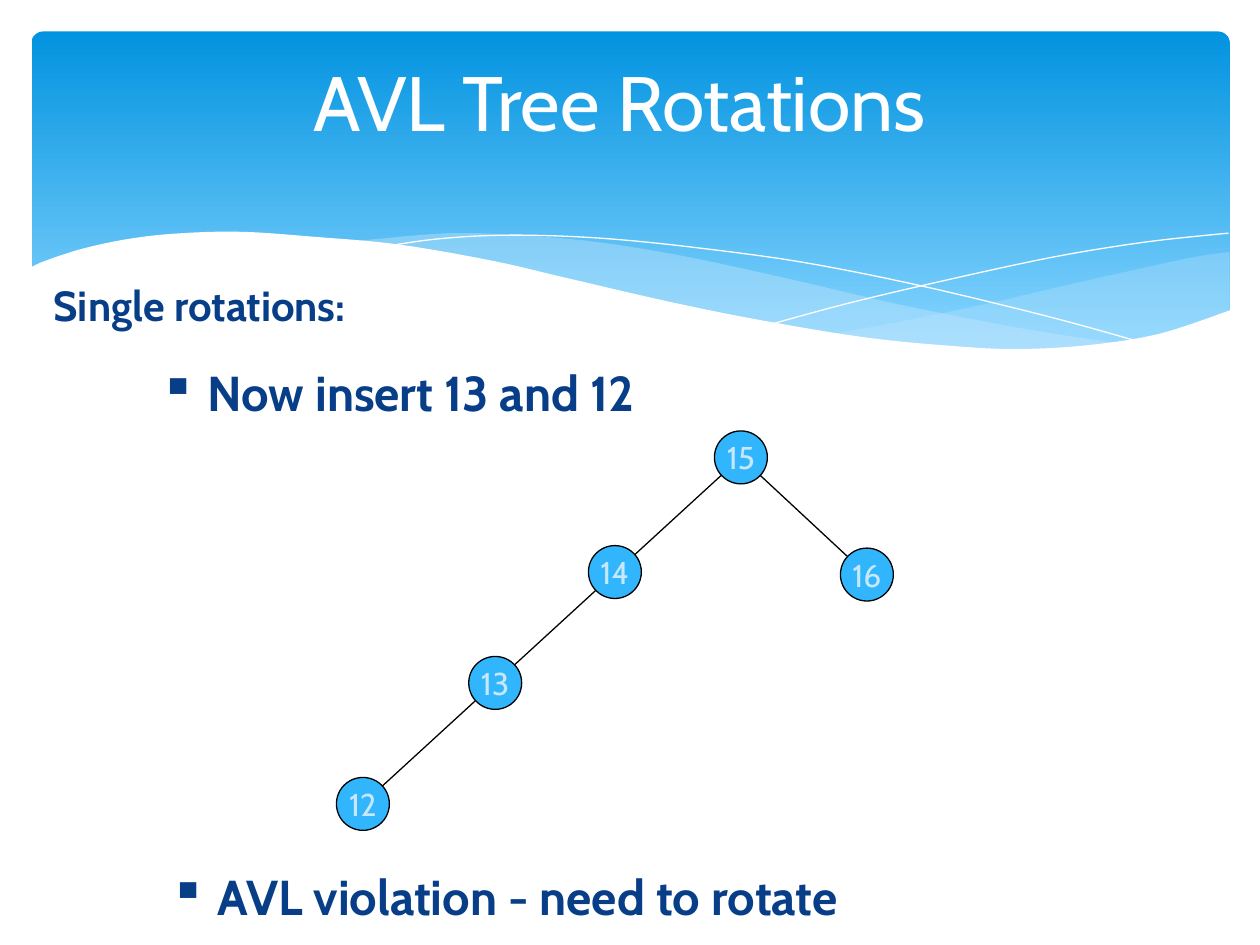
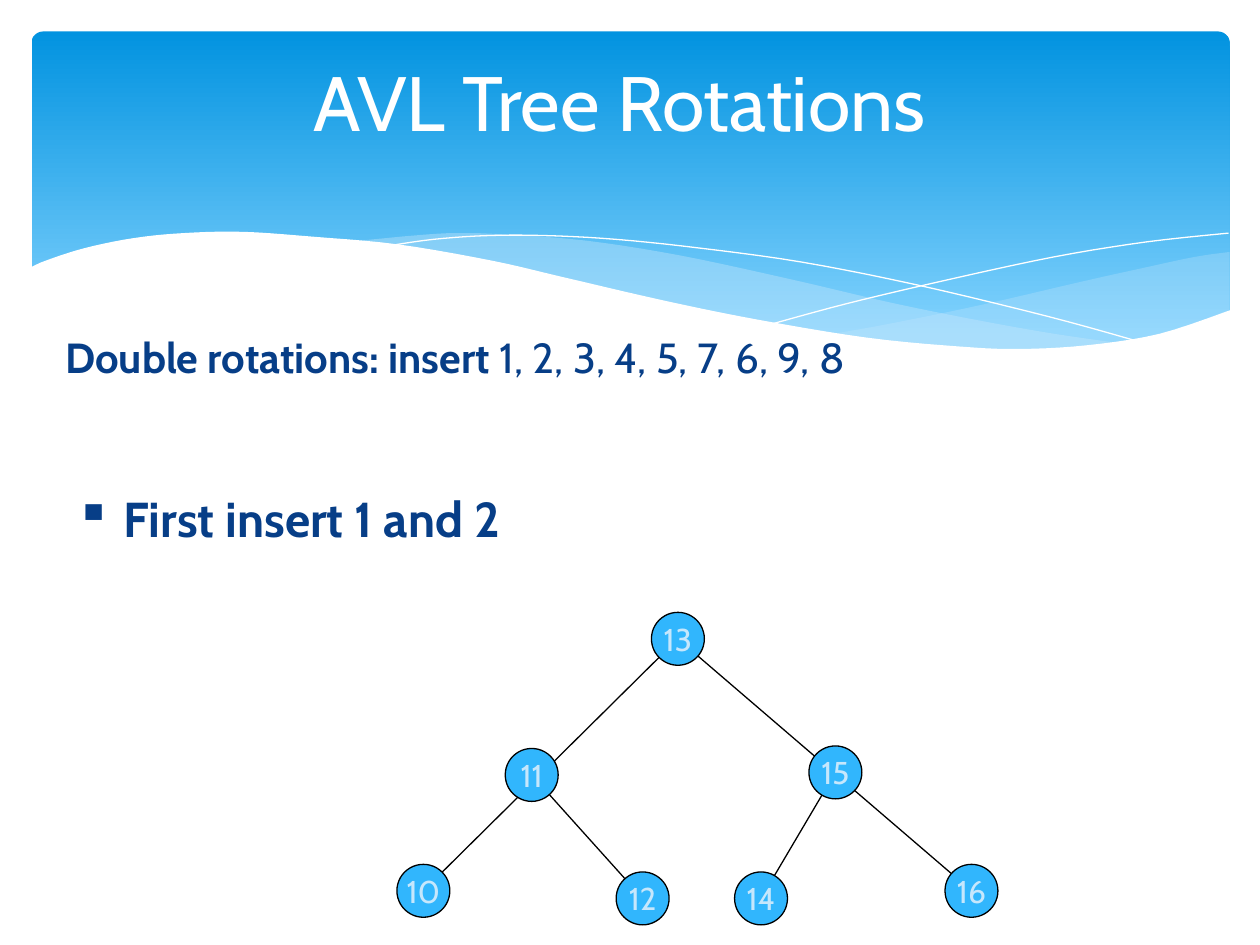
from lxml.etree import SubElement
from pptx import Presentation
from pptx.dml.color import RGBColor
from pptx.enum.shapes import MSO_CONNECTOR, MSO_SHAPE
from pptx.enum.text import MSO_ANCHOR, PP_ALIGN
from pptx.oxml.ns import qn
from pptx.util import Pt

PX = 9144  # EMU in one px, 100 px to the inch
FONT = "Cabin"
WHITE = RGBColor(0xFF, 0xFF, 0xFF)
BLACK = RGBColor(0x00, 0x00, 0x00)
NAVY = RGBColor(0x07, 0x3E, 0x87)
SKY = RGBColor(0x31, 0xB6, 0xFD)
PALE = RGBColor(0xC6, 0xE7, 0xFC)
BAND_TOP = RGBColor(0x02, 0x93, 0xE0)
BAND_BOTTOM = RGBColor(0x83, 0xD3, 0xFE)

BAND_BOX = (25, 25, 951, 270)
WAVE_ORIGIN = (23, 184)
TITLE_BOX = (67, 17, 850, 125)
NODE_SIZE = 42
BULLET_INDENT = 38

# Knots of the wave edges, relative to WAVE_ORIGIN
RIGHT_SWELL = [
    [(638, 81), (683, 73), (756, 58), (838, 39), (883, 29), (925, 20), (953, 16)],
    [(953, 63), (919, 75), (874, 86), (821, 93), (780, 94), (734, 92), (682, 87),
     (638, 81)],
]
LEFT_SWELL = [
    [(263, 7), (305, 3), (338, 1), (376, 2), (442, 7), (518, 19), (606, 38),
     (683, 56), (752, 70), (814, 81), (870, 89)],
    [(870, 89), (825, 93), (773, 94), (713, 91), (642, 82), (543, 64), (468, 48),
     (404, 32), (339, 19), (300, 12), (263, 7)],
]
FALLING_LINE = [
    [(286, 11), (321, 6), (364, 3), (410, 3), (466, 6), (533, 13), (613, 24),
     (704, 42), (808, 67), (884, 88)],
]
RISING_LINE = [
    [(590, 73), (649, 57), (725, 39), (813, 20), (887, 8), (952, 1)],
]
WHITE_WAVE = [
    [(0, 29), (13, 23), (44, 13), (83, 5), (123, 1), (170, 0), (227, 4), (293, 10),
     (368, 23), (424, 36), (506, 55), (580, 70), (665, 84), (738, 91), (786, 93),
     (840, 90), (897, 81), (954, 62)],
    [(954, 145), (0, 145)],
]


def to_emu(*lengths):
    return [round(length * PX) for length in lengths]


def smooth(knots, steps=5):
    """Points of a Catmull-Rom curve through the knots."""
    padded = [knots[0], *knots, knots[-1]]
    points = [knots[0]]
    for a, b, c, d in zip(padded, padded[1:], padded[2:], padded[3:]):
        for step in range(1, steps + 1):
            t = step / steps
            points.append(tuple(
                q + t / 2 * (r - p + t * (2 * p - 5 * q + 4 * r - s
                                          + t * (3 * (q - r) + s - p)))
                for p, q, r, s in zip(a, b, c, d)))
    return points


def add_wave(slide, edges, fill=None, opacity=100):
    """A filled wave, or a white hairline when no fill is given."""
    left, top = WAVE_ORIGIN
    points = [to_emu(left + x, top + y) for edge in edges for x, y in smooth(edge)]
    builder = slide.shapes.build_freeform(*points[0])
    builder.add_line_segments(points[1:], close=fill is not None)
    wave = builder.convert_to_shape()
    wave.shadow.inherit = False
    if fill is None:
        wave.fill.background()
        wave.line.color.rgb = WHITE
        wave.line.width = Pt(0)
        return
    wave.fill.solid()
    wave.fill.fore_color.rgb = fill
    wave.line.fill.background()
    if opacity < 100:
        color = wave.fill._xPr.find(".//" + qn("a:srgbClr"))
        SubElement(color, qn("a:alpha"), val=str(opacity * 1000))


def add_header_band(slide, box):
    band = slide.shapes.add_shape(MSO_SHAPE.ROUNDED_RECTANGLE, *to_emu(*box))
    band.adjustments[0] = 0.034
    band.shadow.inherit = False
    band.line.fill.background()
    band.fill.gradient()
    band.fill.gradient_angle = 270
    stops = zip(band.fill.gradient_stops, (0, 0.9), (BAND_TOP, BAND_BOTTOM))
    for stop, position, color in stops:
        stop.position = position
        stop.color.rgb = color
    # Waves over the lower edge
    add_wave(slide, RIGHT_SWELL, PALE, 29)
    add_wave(slide, LEFT_SWELL, PALE, 40)
    add_wave(slide, FALLING_LINE)
    add_wave(slide, RISING_LINE)
    add_wave(slide, WHITE_WAVE, WHITE)


def style_font(font, size, color, bold=None):
    font.name = FONT
    font.size = Pt(size)
    font.color.rgb = color
    font.bold = bold


def add_text(slide, box, text, size, color=NAVY, bold=True, bullet=False):
    text_box = slide.shapes.add_textbox(*to_emu(*box))
    text_box.text_frame.word_wrap = True
    paragraph = text_box.text_frame.paragraphs[0]
    if bullet:
        properties = paragraph._p.get_or_add_pPr()
        properties.set("marL", str(BULLET_INDENT * PX))
        properties.set("indent", str(-BULLET_INDENT * PX))
        SubElement(properties, qn("a:buChar"), char="▪")
    paragraph.add_run().text = text
    style_font(paragraph.font, size, color, bold)
    return text_box


def add_title(slide, box, text):
    title = add_text(slide, box, text, 44, WHITE, bold=False)
    title.text_frame.vertical_anchor = MSO_ANCHOR.MIDDLE
    title.text_frame.paragraphs[0].alignment = PP_ALIGN.CENTER


def add_edge(slide, start, end):
    edge = slide.shapes.add_connector(MSO_CONNECTOR.STRAIGHT, *to_emu(*start, *end))
    edge.line.color.rgb = BLACK
    edge.line.width = Pt(0.75)
    SubElement(edge._element.spPr, qn("a:effectLst"))


def add_node(slide, left, top, value):
    node = slide.shapes.add_shape(
        MSO_SHAPE.OVAL, *to_emu(left, top, NODE_SIZE, NODE_SIZE))
    node.shadow.inherit = False
    node.fill.solid()
    node.fill.fore_color.rgb = SKY
    node.line.color.rgb = BLACK
    node.line.width = Pt(0.75)
    frame = node.text_frame
    frame.margin_left = frame.margin_right = frame.margin_top = frame.margin_bottom = 0
    frame.word_wrap = False
    frame.vertical_anchor = MSO_ANCHOR.MIDDLE
    paragraph = frame.paragraphs[0]
    paragraph.alignment = PP_ALIGN.CENTER
    paragraph.add_run().text = str(value)
    style_font(paragraph.font, 18, PALE)


def add_tree(slide, origin, nodes, edges):
    """Nodes map a value to its place from the origin; edges join node centres."""
    left, top = origin
    places = {value: (left + x, top + y) for value, (x, y) in nodes.items()}
    centres = {value: (x + NODE_SIZE / 2, y + NODE_SIZE / 2)
               for value, (x, y) in places.items()}
    for start, end in edges:
        add_edge(slide, centres[start], centres[end])
    for value, place in places.items():
        add_node(slide, *place, value)


def add_rotation_slide(presentation):
    slide = presentation.slides.add_slide(presentation.slide_layouts[6])
    add_header_band(slide, BAND_BOX)
    add_title(slide, TITLE_BOX, "AVL Tree Rotations")
    return slide


def add_single_rotation_slide(presentation):
    slide = add_rotation_slide(presentation)
    add_text(slide, (33, 217, 933, 67), "Single rotations:", 24)
    add_text(slide, (117, 283, 550, 67), "Now insert 13 and 12", 28, bullet=True)
    # The edge from 12 to 15 runs through 13 and 14
    add_tree(slide, (267, 342),
             {15: (300, 0), 14: (200, 91), 16: (400, 93), 13: (105, 179), 12: (0, 275)},
             [(12, 15), (15, 16)])
    add_text(slide, (125, 683, 583, 67), "AVL violation - need to rotate", 28,
             bullet=True)


def add_double_rotation_slide(presentation):
    slide = add_rotation_slide(presentation)
    heading = add_text(slide, (42, 258, 933, 67), "Double rotations: insert ", 24,
                       bold=None)
    paragraph = heading.text_frame.paragraphs[0]
    paragraph.runs[0].font.bold = True
    paragraph.add_run().text = "1, 2, 3, 4, 5, 7, 6, 9, 8"
    add_text(slide, (50, 383, 400, 67), "First insert 1 and 2", 28, bullet=True)
    # The outer edges run through 11 and 15
    add_tree(slide, (315, 486),
             {13: (202, 0), 15: (327, 106), 16: (435, 200), 11: (86, 108),
              14: (268, 206), 10: (0, 200), 12: (174, 206)},
             [(11, 12), (15, 14), (10, 13), (13, 16)])


def main():
    presentation = Presentation()
    presentation.slide_width, presentation.slide_height = to_emu(1000, 750)
    add_single_rotation_slide(presentation)
    add_double_rotation_slide(presentation)
    presentation.save("out.pptx")


if __name__ == "__main__":
    main()
